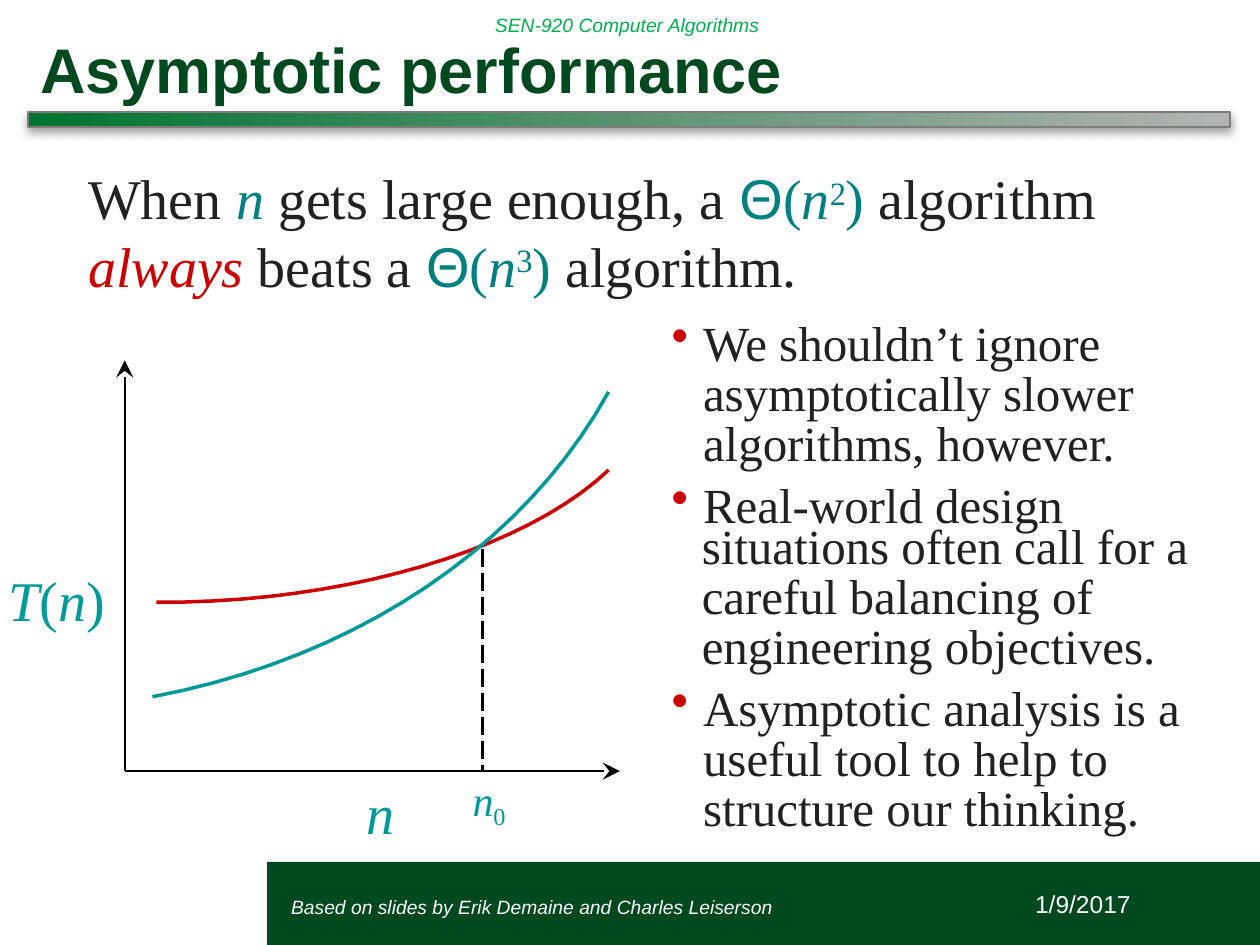
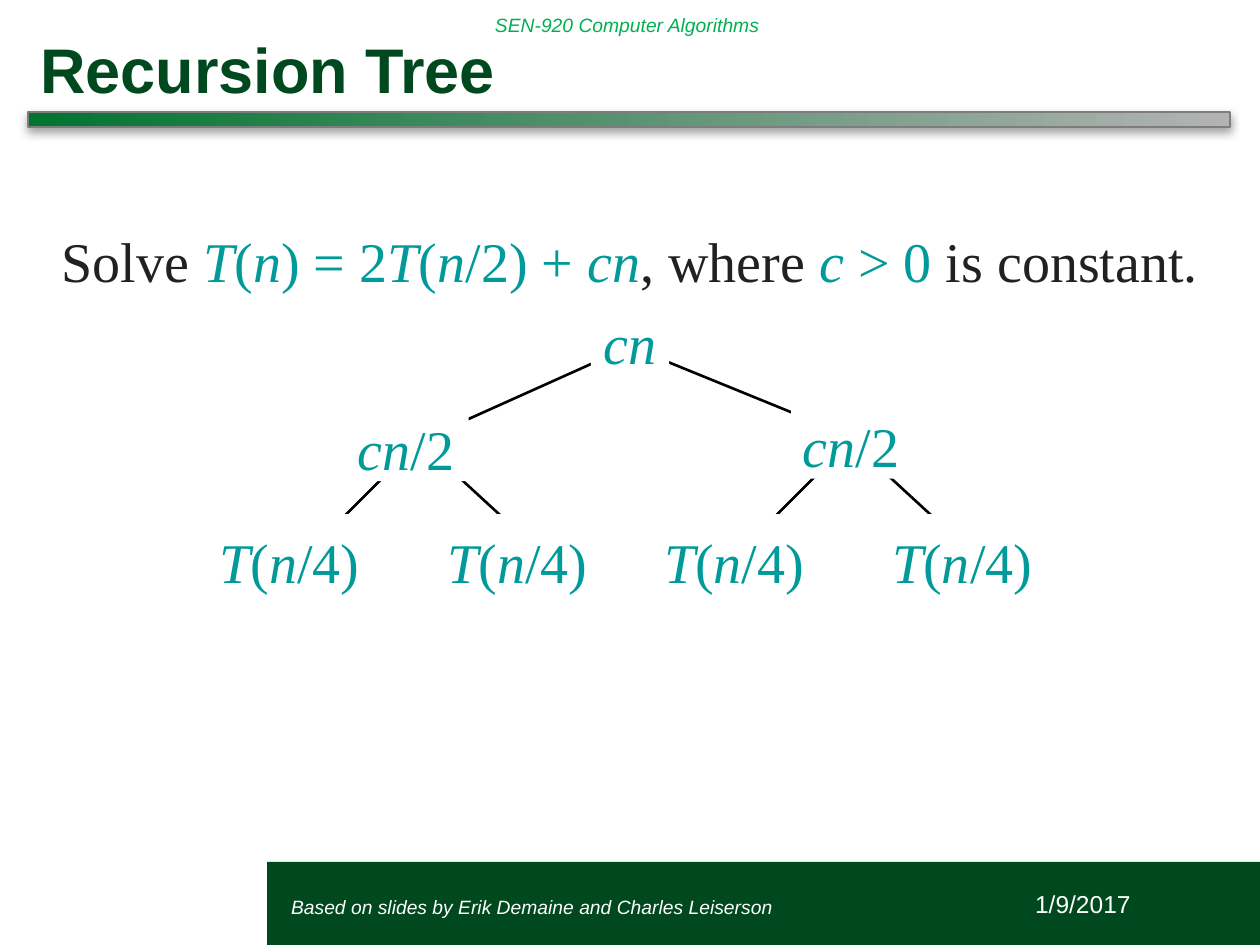
from lxml import etree
from pptx import Presentation
from pptx.dml.color import RGBColor
from pptx.enum.dml import MSO_LINE
from pptx.enum.shapes import MSO_CONNECTOR, MSO_SHAPE
from pptx.enum.text import MSO_ANCHOR, PP_ALIGN
from pptx.oxml.ns import qn
from pptx.util import Inches, Pt

STRAIGHT = MSO_CONNECTOR.STRAIGHT
RECTANGLE = MSO_SHAPE.RECTANGLE
LONG_DASH = MSO_LINE.LONG_DASH
TOP, MIDDLE, BOTTOM = MSO_ANCHOR.TOP, MSO_ANCHOR.MIDDLE, MSO_ANCHOR.BOTTOM
LEFT, CENTER = PP_ALIGN.LEFT, PP_ALIGN.CENTER
SANS, SERIF = "Arial", "Times New Roman"
COLORS = {
    "band": "00481E", "course": "00B050", "bar_start": "007430", "bar_end": "B3B3B3",
    "bar_line": "7D7D7D", "shadow": "808080", "white": "FFFFFF", "black": "000000",
    "ink": "212121", "red": "CC0000", "theta": "008080", "math": "009A9A", "curve": "009999",
}
DEFAULT_INSETS = (0.1, 0.05)
CURVE_STEPS = 20


def rgb(name):
    """Return the named colour."""
    return RGBColor.from_string(COLORS[name])


def write(paragraph, runs, size, font=SERIF, bold=False):
    """Add (text, colour, baseline) runs; asterisks switch italics on and off."""
    for text, color, *baseline in runs:
        for index, piece in enumerate(text.split("*")):
            if not piece:
                continue
            run = paragraph.add_run()
            run.text = piece
            run.font.name = SANS if piece == "Θ" else font
            run.font.size = Pt(size)
            run.font.bold = bold
            run.font.italic = index % 2 == 1
            run.font.color.rgb = rgb(color)
            if baseline:
                run.font._element.set("baseline", str(baseline[0] * 1000))


def set_frame(frame, insets=(0, 0), anchor=TOP, wrap=True):
    """Set the margins, anchor and wrapping of a text frame."""
    frame.margin_left = frame.margin_right = Inches(insets[0])
    frame.margin_top = frame.margin_bottom = Inches(insets[1])
    frame.vertical_anchor = anchor
    frame.word_wrap = wrap
    return frame


def add_text(slide, box, runs, size, font=SERIF, bold=False, align=LEFT, insets=(0, 0), anchor=TOP):
    """Add a text box with one paragraph and return its frame."""
    frame = set_frame(slide.shapes.add_textbox(*map(Inches, box)).text_frame, insets, anchor)
    frame.paragraphs[0].alignment = align
    write(frame.paragraphs[0], runs, size, font, bold)
    return frame


def add_bullet(paragraph, text, spacing, indent=0.26, before=0):
    """Turn a paragraph into a red-bulleted point."""
    properties = paragraph._p.get_or_add_pPr()
    properties.set("marL", str(Inches(indent)))
    properties.set("indent", str(Inches(-0.25)))
    bullet_color = etree.SubElement(properties, qn("a:buClr"))
    etree.SubElement(bullet_color, qn("a:srgbClr"), val=COLORS["red"])
    etree.SubElement(properties, qn("a:buChar"), char="•")
    paragraph.line_spacing = spacing
    if before:
        paragraph.space_before = Pt(before)
    write(paragraph, [(text, "ink")], 28)


def add_rectangle(slide, box, color):
    """Add a plain filled rectangle."""
    rectangle = slide.shapes.add_shape(RECTANGLE, *map(Inches, box))
    rectangle.shadow.inherit = False
    rectangle.fill.solid()
    rectangle.fill.fore_color.rgb = rgb(color)
    rectangle.line.fill.background()
    return rectangle


def add_line(slide, start, end, width, arrow=False):
    """Draw a straight black line, optionally with an arrowhead at its end."""
    line = slide.shapes.add_connector(STRAIGHT, *map(Inches, (*start, *end)))
    line.line.color.rgb = rgb("black")
    line.line.width = Pt(width)
    if arrow:
        etree.SubElement(line.line._get_or_add_ln(), qn("a:tailEnd"), type="stealth", w="lg", len="lg")
    etree.SubElement(line._element.spPr, qn("a:effectLst"))
    return line


def add_title_bar(slide, box):
    """Draw the shaded gradient bar under the title."""
    bar = add_rectangle(slide, box, "bar_start")
    bar.fill.gradient()
    bar.fill.gradient_angle = 0
    for stop, color in zip(bar.fill.gradient_stops, ("bar_start", "bar_end")):
        stop.color.rgb = rgb(color)
    bar.line.color.rgb = rgb("bar_line")
    bar.line.width = Pt(1)
    effects = bar._element.spPr.find(qn("a:effectLst"))
    shadow = etree.SubElement(effects, qn("a:outerShdw"), blurRad=str(Pt(5)), dist=str(Pt(2)), dir="5400000")
    shade = etree.SubElement(shadow, qn("a:srgbClr"), val=COLORS["shadow"])
    etree.SubElement(shade, qn("a:alpha"), val="75000")


def add_base_slide(deck, title):
    """Add a slide with the course line, title, bar and footer."""
    slide = deck.slides.add_slide(deck.slide_layouts[6])
    add_rectangle(slide, (2.12, 6.84, 7.88, 0.67), "band")
    add_text(slide, (3.83, 0, 4.61, 0.4), [("*SEN-920 Computer Algorithms*", "course")], 11, SANS,
             insets=DEFAULT_INSETS, anchor=MIDDLE)
    add_title_bar(slide, (0.22, 0.89, 9.54, 0.12))
    add_text(slide, (0.22, 0.16, 9.54, 0.73), [(title, "band")], 36, SANS, bold=True,
             insets=DEFAULT_INSETS, anchor=BOTTOM)
    date = add_text(slide, (7.43, 7, 2.33, 0.4), [("1/9/2017", "white")], 14, SANS, align=CENTER, anchor=MIDDLE)
    date.paragraphs[0].line_spacing = Pt(13.2)
    add_text(slide, (2.31, 7, 4.61, 0.4),
             [("*Based on slides by Erik Demaine and Charles Leiserson*", "white")], 11, SANS, anchor=MIDDLE)
    return slide


def bezier(controls, t):
    """Return the point at t on a cubic Bezier curve."""
    weights = ((1 - t) ** 3, 3 * t * (1 - t) ** 2, 3 * t ** 2 * (1 - t), t ** 3)
    return tuple(sum(w * point[axis] for w, point in zip(weights, controls)) for axis in (0, 1))


def add_growth_plot(slide, left, top, width, height):
    """Plot the two running-time curves and mark where they cross."""
    def at(x, y):
        return left + x, top + y

    add_line(slide, at(0, height), at(0, 0), 1.25, arrow=True)
    add_line(slide, at(0, height), at(width, height), 1.25, arrow=True)
    curves = (
        ("red", ((0.25, 1.92), (1.75, 1.93), (3.18, 1.5), (3.84, 0.87))),
        ("curve", ((0.22, 2.67), (1.87, 2.36), (3.18, 1.45), (3.84, 0.25))),
    )
    for color, controls in curves:
        samples = [bezier(controls, step / CURVE_STEPS) for step in range(CURVE_STEPS + 1)]
        points = [tuple(map(Inches, at(*sample))) for sample in samples]
        builder = slide.shapes.build_freeform(*points[0])
        builder.add_line_segments(points[1:], close=False)
        curve = builder.convert_to_shape()
        curve.shadow.inherit = False
        curve.fill.background()
        curve.line.color.rgb = rgb(color)
        curve.line.width = Pt(2)
    crossing = add_line(slide, at(2.84, 1.5), at(2.84, height), 1.25)
    crossing.line.dash_style = LONG_DASH
    add_text(slide, (*at(1.92, 3.32), 0.25, 0.54), [("*n*", "math")], 32)
    add_text(slide, (*at(-0.92, 1.63), 0.8, 0.54), [("*T*(*n*)", "math")], 32)
    add_text(slide, (*at(2.76, 3.29), 0.31, 0.4), [("*n*", "math"), ("0", "math", -21)], 24)


def add_performance_text(slide, left, top):
    """Write the claim across the slide and the points in the right column."""
    def theta(power):
        return [("Θ", "theta"), ("(*n*", "theta"), (power, "theta", 26), (") ", "theta")]

    claim = add_text(slide, (left, top, 8.33, 2.98), [
        ("When ", "ink"), ("*n* ", "theta"), ("gets large enough, a ", "ink"),
        *theta("2"), ("algorithm", "ink")], 32)
    write(claim.add_paragraph(), [
        ("*always* ", "red"), ("beats a ", "ink"), *theta("3"), ("algorithm.", "ink")], 32)
    add_bullet(claim.add_paragraph(), "We shouldn’t ignore asymptotically slower algorithms, however.",
               Pt(28.7), 4.88, 12.8)
    add_bullet(claim.add_paragraph(), "Real-world design", Pt(33.5), 4.88, 1.7)
    design = add_text(slide, (left + 4.87, top + 2.86, 3.9, 1.22), [
        ("situations often call for a careful balancing of engineering objectives.", "ink")], 28)
    design.paragraphs[0].line_spacing = Pt(28.7)
    analysis = add_text(slide, (left + 4.62, top + 4.15, 4.07, 1.22), [], 28)
    add_bullet(analysis.paragraphs[0],
               "Asymptotic analysis is a useful tool to help to structure our thinking.", 0.85)


def add_node(slide, left, top, width, formula):
    """Add a white tree node holding a formula."""
    node = add_rectangle(slide, (left, top, width, 0.64), "white")
    frame = set_frame(node.text_frame, (0.09, 0), wrap=False)
    frame.margin_top = Inches(0.11)
    frame.paragraphs[0].alignment = LEFT
    write(frame.paragraphs[0], [(formula, "math")], 32)


def add_recursion_tree(slide, left, top):
    """Draw two levels of branches under the root."""
    root = (left + 3.34, top + 0.42)
    branches = ((1.09, 0.85, 1.67, 1.67), (4.62, 0.83, 5.18, 5.09))
    for _, _, end, fork in branches:
        add_line(slide, root, (left + end, top + 1.17), 1.5)
        for reach in (-0.92, 1):
            add_line(slide, (left + fork, top + 1.17), (left + fork + reach, top + 2.09), 1.5)
    add_rectangle(slide, (left + 3.03, top, 0.62, 0.64), "white")
    for x, y, _, _ in branches:
        for shift in (-1.1, 0.71):
            add_node(slide, left + x + shift, top + 1.75, 1.31, "*T*(*n*/4)")
        add_node(slide, left + x, top + y, 0.97, "*cn*/2")


def add_recurrence(slide, left, top):
    """State the recurrence with the root cost centred under it."""
    frame = add_text(slide, (left, top, 9.06, 1.19), [
        ("Solve ", "ink"), ("*T*(*n*) = 2*T*(*n*/2) + *cn*", "math"), (", where ", "ink"),
        ("*c* > 0 ", "math"), ("is constant.", "ink")], 32, align=CENTER)
    root = frame.add_paragraph()
    root.alignment = CENTER
    root.space_before = Pt(8.1)
    write(root, [("*cn*", "math")], 32)


def main():
    """Build the deck."""
    deck = Presentation()
    deck.slide_width, deck.slide_height = Inches(10), Inches(7.5)
    performance = add_base_slide(deck, "Asymptotic performance")
    add_growth_plot(performance, 0.99, 2.86, 3.93, 3.26)
    add_performance_text(performance, 0.7, 1.3)
    recursion = add_base_slide(deck, "Recursion Tree")
    add_recursion_tree(recursion, 1.66, 2.33)
    add_recurrence(recursion, 0.47, 1.8)
    deck.save("out.pptx")


if __name__ == "__main__":
    main()
